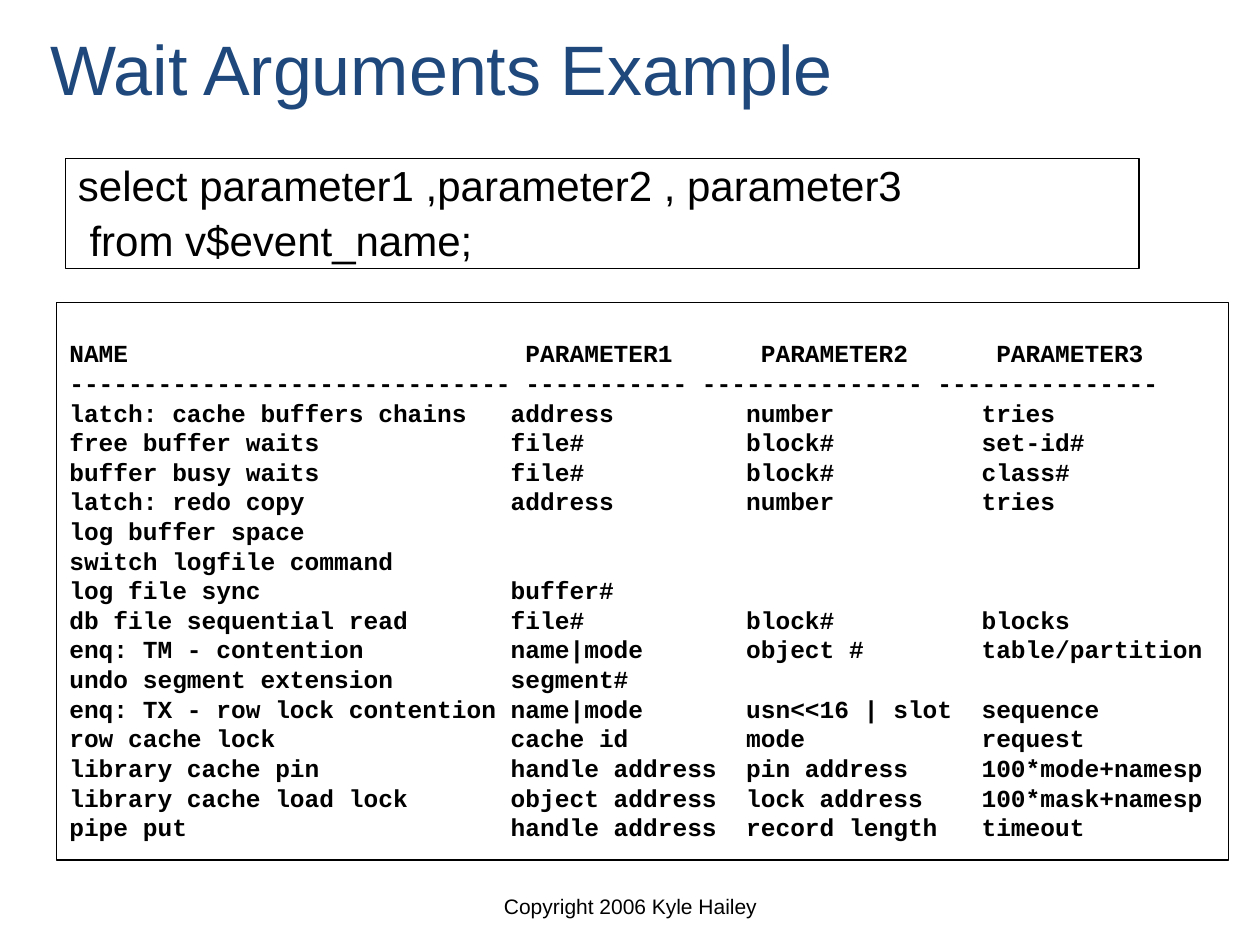
from dataclasses import dataclass

from lxml.etree import SubElement
from pptx import Presentation
from pptx.dml.color import RGBColor
from pptx.enum.shapes import MSO_SHAPE
from pptx.enum.text import MSO_ANCHOR as Anchor, MSO_AUTO_SIZE as AutoSize, PP_ALIGN as Align
from pptx.oxml.ns import qn
from pptx.util import Emu, Inches, Pt

BLACK = RGBColor(0x00, 0x00, 0x00)
WHITE = RGBColor(0xFF, 0xFF, 0xFF)
NAVY = RGBColor(0x1F, 0x49, 0x7D)

SLIDE_W, SLIDE_H = Inches(10), Inches(7.5)
ROW_COLUMNS = (30, 16, 16, 0)
HEADER_COLUMNS = (31, 16, 16, 0)
RULE_LENGTHS = (30, 11, 15, 15)


@dataclass(frozen=True)
class Area:
    left: float
    top: float
    width: float
    height: float

    def emu(self) -> tuple:
        return (Emu(int(self.left * SLIDE_W)), Emu(int(self.top * SLIDE_H)),
                Emu(int(self.width * SLIDE_W)), Emu(int(self.height * SLIDE_H)))


@dataclass(frozen=True)
class Style:
    face: str
    size: float
    color: RGBColor = BLACK
    bold: bool = False
    align: Align = Align.LEFT


@dataclass(frozen=True)
class Line:
    text: str
    spacing: float = 1.0
    before: float = 0


@dataclass(frozen=True)
class Wait:
    name: str
    parameters: tuple = ()

    def text(self, columns: tuple = ROW_COLUMNS) -> str:
        cells = (self.name, *self.parameters)
        return "".join(cell.ljust(width) for cell, width in zip(cells, columns)).rstrip()


TITLE_AREA = Area(0.03, 0, 0.85, 0.143)
QUERY_AREA = Area(0.052, 0.168, 0.852, 0.116)
LISTING_AREA = Area(0.045, 0.32, 0.93, 0.59)
CREDIT_AREA = Area(0.417, 0.944, 0.167, 0.03)

TITLE_STYLE = Style("Arial", 40, NAVY)
QUERY_STYLE = Style("Arial", 24)
LISTING_STYLE = Style("Courier New", 14, bold=True)
CREDIT_STYLE = Style("Arial", 12, align=Align.CENTER)

HEADER = Wait("NAME", ("PARAMETER1", "PARAMETER2", "PARAMETER3"))
WAITS = (
    Wait("latch: cache buffers chains", ("address", "number", "tries")),
    Wait("free buffer waits", ("file#", "block#", "set-id#")),
    Wait("buffer busy waits", ("file#", "block#", "class#")),
    Wait("latch: redo copy", ("address", "number", "tries")),
    Wait("log buffer space"),
    Wait("switch logfile command"),
    Wait("log file sync", ("buffer#",)),
    Wait("db file sequential read", ("file#", "block#", "blocks")),
    Wait("enq: TM - contention", ("name|mode", "object #", "table/partition")),
    Wait("undo segment extension", ("segment#",)),
    Wait("enq: TX - row lock contention", ("name|mode", "usn<<16 | slot", "sequence")),
    Wait("row cache lock", ("cache id", "mode", "request")),
    Wait("library cache pin", ("handle address", "pin address", "100*mode+namesp")),
    Wait("library cache load lock", ("object address", "lock address", "100*mask+namesp")),
    Wait("pipe put", ("handle address", "record length", "timeout")),
)


def place(shape, area: Area) -> None:
    shape.left, shape.top, shape.width, shape.height = area.emu()


def outline(shape) -> None:
    shape.fill.solid()
    shape.fill.fore_color.rgb = WHITE
    shape.line.color.rgb = BLACK
    shape.line.width = Pt(0.75)


def clear_bullet(paragraph) -> None:
    properties = paragraph._p.get_or_add_pPr()
    properties.set("marL", "0")
    properties.set("indent", "0")
    SubElement(properties, qn("a:buNone"))


def write(shape, lines: list[Line], style: Style, anchor: Anchor = Anchor.MIDDLE,
          wrap: bool = True) -> None:
    frame = shape.text_frame
    frame.auto_size = AutoSize.NONE
    frame.word_wrap = wrap
    frame.vertical_anchor = anchor
    for index, line in enumerate(lines):
        paragraph = frame.add_paragraph() if index else frame.paragraphs[0]
        paragraph.text = line.text
        clear_bullet(paragraph)
        paragraph.alignment = style.align
        paragraph.line_spacing = line.spacing
        paragraph.space_before = Pt(line.before)
        font = paragraph.font
        font.name, font.size, font.bold = style.face, Pt(style.size), style.bold
        font.color.rgb = style.color


def listing_lines() -> list[Line]:
    rule = " ".join("-" * length for length in RULE_LENGTHS)
    return [
        Line(HEADER.text(HEADER_COLUMNS), 0.8),
        Line(rule, 0.8, 3.5),
        *(Line(wait.text(), 0.8, 3.5) for wait in WAITS),
    ]


def main() -> None:
    deck = Presentation()
    deck.slide_width, deck.slide_height = SLIDE_W, SLIDE_H
    slide = deck.slides.add_slide(deck.slide_layouts[1])

    title = slide.shapes.title
    place(title, TITLE_AREA)
    write(title, [Line("Wait Arguments Example")], TITLE_STYLE)

    listing = slide.placeholders[1]
    place(listing, LISTING_AREA)
    outline(listing)
    listing.text_frame.margin_top = Inches(0.33)
    write(listing, listing_lines(), LISTING_STYLE, Anchor.TOP)

    query = slide.shapes.add_shape(MSO_SHAPE.RECTANGLE, *QUERY_AREA.emu())
    query.shadow.inherit = False
    outline(query)
    write(query, [
        Line("select parameter1 ,parameter2 , parameter3", 0.9),
        Line(" from v$event_name;", 0.5, 15),
    ], QUERY_STYLE)

    credit = slide.shapes.add_textbox(*CREDIT_AREA.emu())
    write(credit, [Line("Copyright 2006 Kyle Hailey")], CREDIT_STYLE, wrap=False)

    deck.save("out.pptx")


if __name__ == "__main__":
    main()
